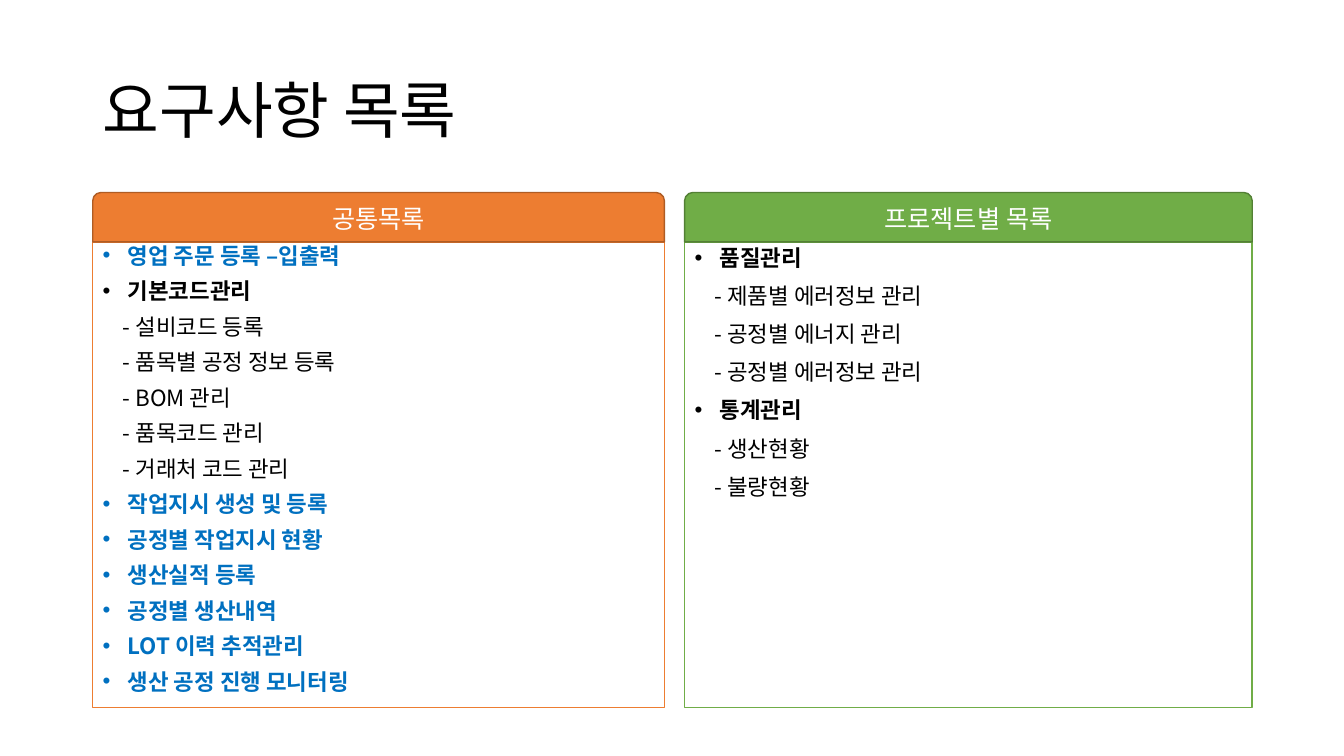
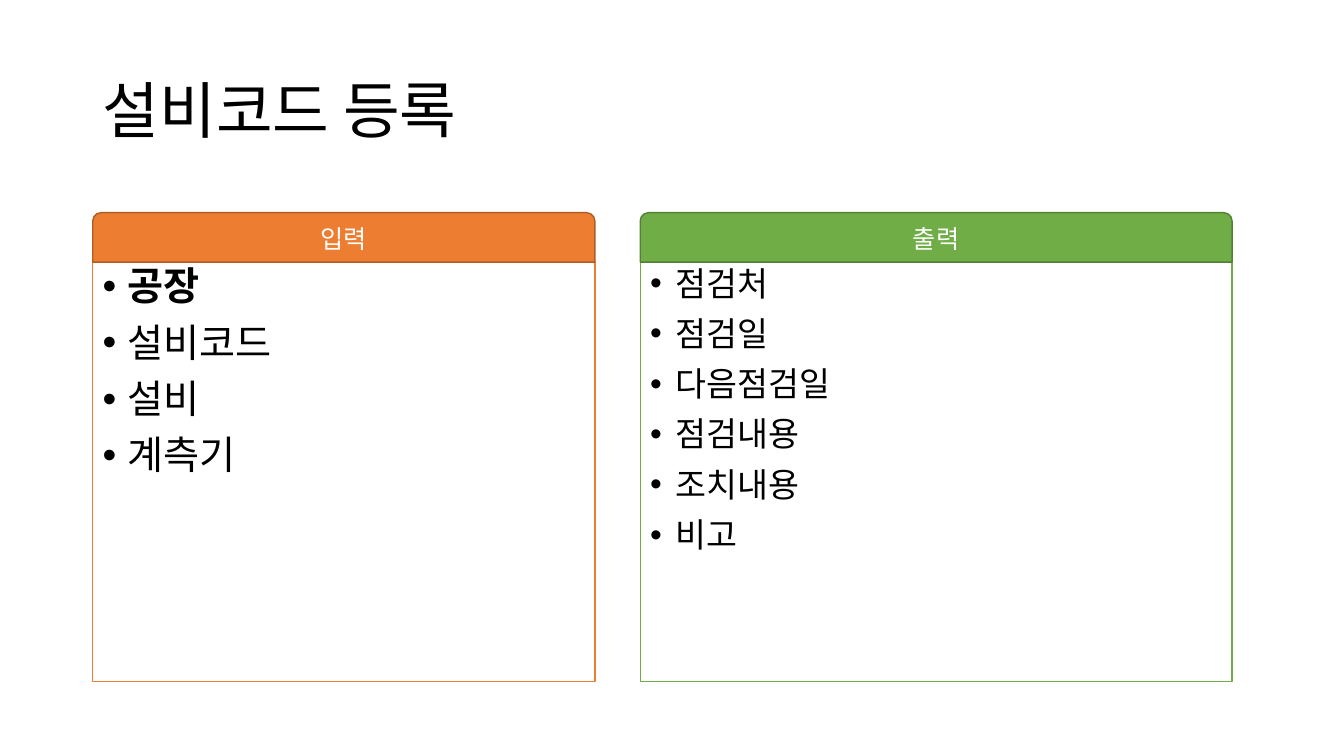
from lxml.etree import SubElement
from pptx import Presentation
from pptx.dml.color import RGBColor
from pptx.enum.shapes import MSO_SHAPE as SHAPE
from pptx.enum.text import MSO_ANCHOR as ANCHOR, PP_ALIGN as ALIGN
from pptx.oxml.ns import qn
from pptx.util import Inches, Pt

BLACK = RGBColor(0x00, 0x00, 0x00)
WHITE = RGBColor(0xFF, 0xFF, 0xFF)
BLUE = RGBColor(0x00, 0x70, 0xC0)
# Each panel theme: header fill and panel outline, header outline
ORANGE = RGBColor(0xED, 0x7D, 0x31), RGBColor(0xAF, 0x5C, 0x24)
GREEN = RGBColor(0x70, 0xAD, 0x47), RGBColor(0x53, 0x80, 0x35)

# Each item style: bulleted, bold, colour
KEY = True, True, BLUE
GROUP = True, True, BLACK
ITEM = True, False, BLACK
SUB = False, False, BLACK


class Deck:
    FONT = "Noto Sans CJK KR"
    LEFT = 0.92
    HEADER_HEIGHT = 0.49

    def __init__(self):
        self.prs = Presentation()
        self.prs.slide_width = Inches(13.33)
        self.prs.slide_height = Inches(7.5)
        self.s = None

    def slide(self, title):
        """Start a slide with its title."""
        self.s = self.prs.slides.add_slide(self.prs.slide_layouts[6])
        sp = self.s.shapes.add_textbox(Inches(self.LEFT), Inches(0.4), Inches(11.5), Inches(1.45))
        tf = sp.text_frame
        tf.word_wrap = True
        tf.vertical_anchor = ANCHOR.MIDDLE
        p = tf.paragraphs[0]
        p.line_spacing = 0.9
        self.run(p, title, 44)

    def run(self, p, text, size, color=BLACK, bold=False):
        r = p.add_run()
        r.text = text
        r.font.size = Pt(size)
        r.font.bold = bold
        r.font.color.rgb = color
        r.font.name = self.FONT
        SubElement(r._r.get_or_add_rPr(), qn("a:ea"), typeface=self.FONT)

    def box(self, kind, x, y, w, h, fill, line):
        sp = self.s.shapes.add_shape(kind, Inches(x), Inches(y), Inches(w), Inches(h))
        sp.shadow.inherit = False
        sp.fill.solid()
        sp.fill.fore_color.rgb = fill
        sp.line.color.rgb = line
        sp.line.width = Pt(1)
        sp.text_frame.word_wrap = True
        return sp

    def item(self, p, text, style, size):
        """Fill one list paragraph, bulleted or indented."""
        bulleted, bold, color = style
        pPr = p._p.get_or_add_pPr()
        pPr.set("marL", str(Inches(0.25 if bulleted else 0.2)))
        if bulleted:
            pPr.set("indent", str(Inches(-0.25)))
            SubElement(pPr, qn("a:buFont"), typeface="Arial")
            SubElement(pPr, qn("a:buChar"), char="•")
        self.run(p, text, size, color, bold)

    def panel(self, x, y, w, h, theme, heading, items, size, spacing=0.9):
        """Draw a bordered list under a coloured header; y is where they meet."""
        fill, edge = theme
        tf = self.box(SHAPE.RECTANGLE, x, y, w, h, WHITE, fill).text_frame
        tf.vertical_anchor = ANCHOR.TOP
        for i, (text, style) in enumerate(items):
            p = tf.add_paragraph() if i else tf.paragraphs[0]
            p.alignment = ALIGN.LEFT
            p.line_spacing = spacing
            p.space_before = Pt(10 if i else 0)
            self.item(p, text, style, size)

        sp = self.box(SHAPE.ROUND_2_SAME_RECTANGLE, x, y - self.HEADER_HEIGHT, w,
                      self.HEADER_HEIGHT, fill, edge)
        sp.text_frame.vertical_anchor = ANCHOR.MIDDLE
        p = sp.text_frame.paragraphs[0]
        p.alignment = ALIGN.CENTER
        self.run(p, heading, 18, WHITE)


def main():
    deck = Deck()

    # Requirement list
    deck.slide("요구사항 목록")
    deck.panel(deck.LEFT, 2.4, 5.67, 4.62, ORANGE, "공통목록", [
        ("영업 주문 등록 –입출력", KEY),
        ("기본코드관리", GROUP),
        ("- 설비코드 등록", SUB),
        ("- 품목별 공정 정보 등록", SUB),
        ("- BOM 관리", SUB),
        ("- 품목코드 관리", SUB),
        ("- 거래처 코드 관리", SUB),
        ("작업지시 생성 및 등록", KEY),
        ("공정별 작업지시 현황", KEY),
        ("생산실적 등록", KEY),
        ("공정별 생산내역", KEY),
        ("LOT 이력 추적관리", KEY),
        ("생산 공정 진행 모니터링", KEY),
    ], 16, 0.8)
    deck.panel(6.79, 2.4, 5.63, 4.62, GREEN, "프로젝트별 목록", [
        ("품질관리", GROUP),
        ("- 제품별 에러정보 관리", SUB),
        ("- 공정별 에너지 관리", SUB),
        ("- 공정별 에러정보 관리", SUB),
        ("통계관리", GROUP),
        ("- 생산현황", SUB),
        ("- 불량현황", SUB),
    ], 16)

    # Equipment code registration
    deck.slide("설비코드 등록")
    deck.panel(deck.LEFT, 2.6, 4.98, 4.16, ORANGE, "입력", [
        ("공장", GROUP),
        ("설비코드", ITEM),
        ("설비", ITEM),
        ("계측기", ITEM),
    ], 28)
    outputs = ["점검처", "점검일", "다음점검일", "점검내용", "조치내용", "비고"]
    deck.panel(6.35, 2.6, 5.87, 4.16, GREEN, "출력", [(text, ITEM) for text in outputs], 24)

    deck.prs.save("out.pptx")


if __name__ == "__main__":
    main()
